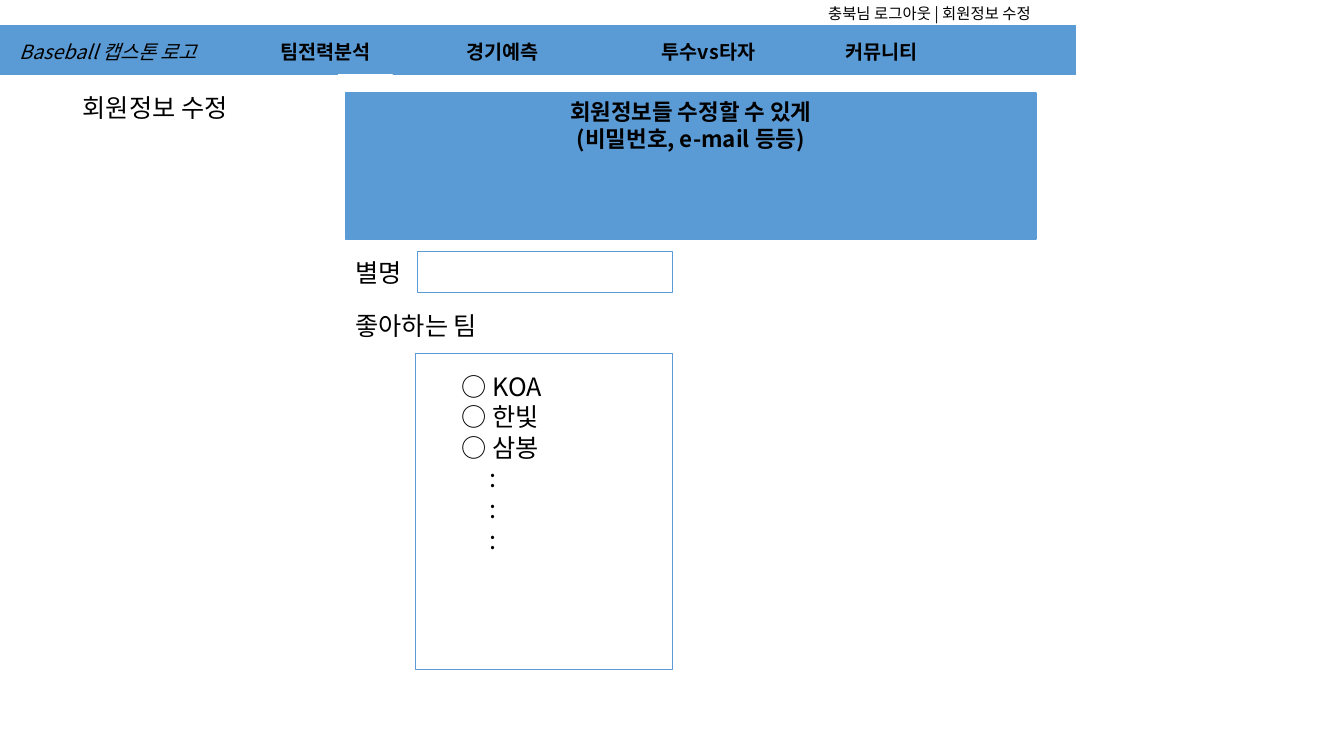
from lxml import etree
from pptx import Presentation
from pptx.dml.color import RGBColor
from pptx.enum.shapes import MSO_SHAPE
from pptx.enum.text import MSO_ANCHOR, MSO_AUTO_SIZE, PP_ALIGN
from pptx.oxml.ns import qn
from pptx.util import Cm, Pt

RECTANGLE = MSO_SHAPE.RECTANGLE
TOP = MSO_ANCHOR.TOP
NO_AUTOFIT = MSO_AUTO_SIZE.NONE
LEFT, CENTER = PP_ALIGN.LEFT, PP_ALIGN.CENTER

FONT = "Noto Sans CJK KR"
BLACK, WHITE, BLUE = "000000", "FFFFFF", "5B9BD5"
LINE_HEIGHT = 1.21

NAVIGATION = [
    (6.81, "팀전력분석"),
    (11.51, "경기예측"),
    (16.43, "투수vs타자"),
    (21.06, "커뮤니티"),
]
FIELD_LABELS = [(6.35, 1.8, "별명"), (7.7, 3.94, "좋아하는 팀")]
TEAMS = ["○ KOA", "○ 한빛", "○ 삼봉"]
MORE_TEAMS = [":"] * 3


def color(value):
    return RGBColor.from_string(value)


class PageBuilder:
    """Draws the elements of a web page mock-up on one slide."""

    def __init__(self, slide):
        self.slide = slide

    def set_text(self, shape, lines, size, bold=False, italic=False,
                 align=LEFT, wrap=True):
        frame = shape.text_frame
        frame.text = "\n".join(lines)
        frame.word_wrap = wrap
        frame.auto_size = NO_AUTOFIT
        frame.vertical_anchor = TOP
        for paragraph in frame.paragraphs:
            paragraph.alignment = align
            paragraph.line_spacing = Pt(round(size * LINE_HEIGHT, 1))
            paragraph.space_before = Pt(0)
            for run in paragraph.runs:
                font = run.font
                font.name = FONT
                font.size = Pt(size)
                font.bold = bold
                font.italic = italic
                font.color.rgb = color(BLACK)
                properties = run._r.get_or_add_rPr()
                etree.SubElement(properties, qn("a:ea"), typeface=FONT)

    def box(self, left, top, width, height, fill, line, line_width):
        shape = self.slide.shapes.add_shape(
            RECTANGLE, Cm(left), Cm(top), Cm(width), Cm(height))
        shape.shadow.inherit = False
        if fill:
            shape.fill.solid()
            shape.fill.fore_color.rgb = color(fill)
        else:
            shape.fill.background()
        shape.line.color.rgb = color(line)
        shape.line.width = Pt(line_width)
        return shape

    def label(self, left, top, width, height, text, size, **style):
        shape = self.slide.shapes.add_textbox(
            Cm(left), Cm(top), Cm(width), Cm(height))
        self.set_text(shape, [text], size, **style)

    def placeholder(self, shape, left, top, width, height, lines, size):
        shape.left, shape.top = Cm(left), Cm(top)
        shape.width, shape.height = Cm(width), Cm(height)
        shape.element.getparent().append(shape.element)
        self.set_text(shape, lines, size, wrap=False)

    def plain_list(self, shape, indented_from, indent):
        for index, paragraph in enumerate(shape.text_frame.paragraphs):
            margin = Cm(indent) if index >= indented_from else Cm(0)
            properties = paragraph._p.get_or_add_pPr()
            properties.set("marL", str(int(margin)))
            properties.set("indent", "0")
            etree.SubElement(properties, qn("a:buNone"))


def main():
    presentation = Presentation()
    presentation.slide_width = Cm(33.87)
    presentation.slide_height = Cm(19.05)
    slide = presentation.slides.add_slide(presentation.slide_layouts[1])
    title, team_list = slide.placeholders
    page = PageBuilder(slide)

    page.box(0, 0, 27.1, 0.61, WHITE, WHITE, 1)
    page.box(0, 0.64, 27.1, 1.24, BLUE, BLUE, 1)
    page.label(0.25, 0.89, 5.23, 0.86, "Baseball 캡스톤 로고", 14, italic=True)
    for left, text in NAVIGATION:
        page.label(left, 0.89, 3.35, 0.86, text, 14, bold=True)
    page.box(8.53, 1.88, 1.35, 1.02, None, WHITE, 1)
    page.label(20.62, -0.03, 6.48, 0.74, "충북님 로그아웃 | 회원정보 수정", 11)

    page.placeholder(title, 1.83, 2.18, 4.6, 1.02, ["회원정보 수정"], 18)
    for top, width, text in FIELD_LABELS:
        page.label(8.71, top, width, 1.02, text, 18, wrap=False)
    page.box(10.52, 6.35, 6.43, 1.02, WHITE, BLUE, 0.75)
    page.box(10.46, 8.92, 6.48, 7.95, WHITE, BLUE, 0.75)
    page.placeholder(team_list, 11.38, 9.22, 2.9, 6.4, TEAMS + MORE_TEAMS, 18)
    page.plain_list(team_list, indented_from=len(TEAMS), indent=0.69)

    banner = page.box(8.71, 2.34, 17.4, 3.68, BLUE, BLUE, 1.25)
    page.set_text(banner, ["회원정보들 수정할 수 있게", "(비밀번호, e-mail 등등)"],
                  16, bold=True, align=CENTER)

    presentation.save("out.pptx")


if __name__ == "__main__":
    main()
